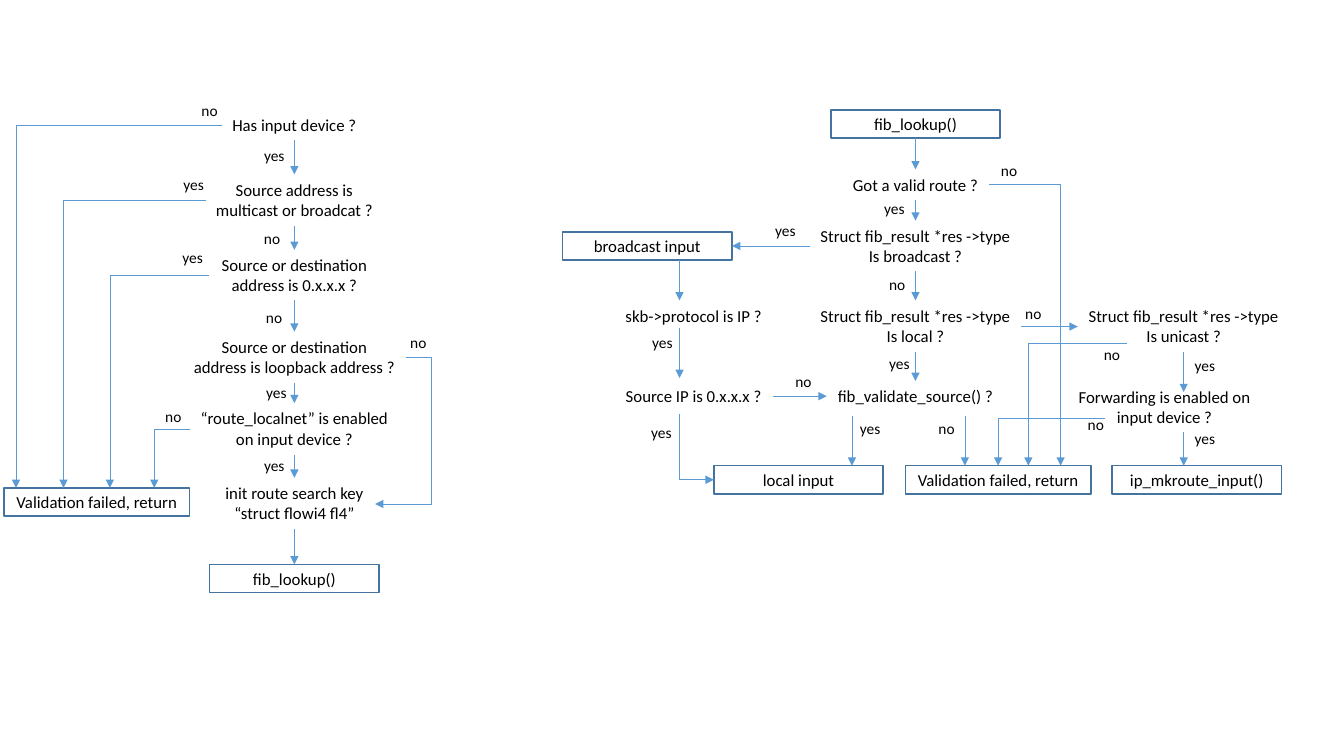
from lxml import etree
from pptx import Presentation
from pptx import util as u
from pptx.dml.color import RGBColor
from pptx.enum import shapes, text
from pptx.oxml.ns import qn

BLACK = RGBColor(0x00, 0x00, 0x00)
ARROW_BLUE = RGBColor(0x5B, 0x9B, 0xD5)
BORDER_BLUE = RGBColor(0x43, 0x73, 0x9E)

COLS, ROWS = 13.33, 7.5
INPUT, PROTOCOL, ROUTE, UNICAST = 2.92, 6.74, 9.08, 11.74
BOX_W, FAILED_W, BOX_H = 1.68, 1.84, 0.28
RESULT_TOP, FAILED_TOP = 4.62, 4.84
LINE_H, PADDING = 0.2, 0.1
LABEL_W = {"yes": 0.41, "no": 0.36}
LABEL_H = 0.29


def grid(*cells):
    return [u.Inches(cell) for cell in cells]


def write(sp, content, size=12, align=text.PP_ALIGN.CENTER, color=BLACK,
          font="Calibri", anchor=text.MSO_ANCHOR.TOP, wrap=False):
    tf = sp.text_frame
    tf.word_wrap = wrap
    tf.vertical_anchor = anchor
    if not wrap:
        tf.auto_size = text.MSO_AUTO_SIZE.SHAPE_TO_FIT_TEXT
    for i, line in enumerate(content.split("\n")):
        p = tf.paragraphs[0] if i == 0 else tf.add_paragraph()
        p.alignment = align
        r = p.add_run()
        r.text = line
        r.font.size = u.Pt(size)
        r.font.name = font
        r.font.color.rgb = color


def question(s, center, top, width, content):
    height = PADDING + LINE_H * (content.count("\n") + 1)
    sp = s.shapes.add_textbox(*grid(center - width / 2, top, width, height))
    write(sp, content)


def label(s, content, left, top):
    sp = s.shapes.add_textbox(*grid(left, top, LABEL_W[content], LABEL_H))
    write(sp, content, size=11, align=text.PP_ALIGN.LEFT)


def box(s, center, top, content, width=BOX_W):
    sp = s.shapes.add_shape(shapes.MSO_SHAPE.RECTANGLE,
                            *grid(center - width / 2, top, width, BOX_H))
    sp.shadow.inherit = False
    sp.fill.background()
    sp.line.color.rgb = BORDER_BLUE
    sp.line.width = u.Pt(1)
    write(sp, content, anchor=text.MSO_ANCHOR.MIDDLE, wrap=True)


def arrow(s, x1, y1, x2, y2, preset="line", end="tailEnd", bend=None):
    c = s.shapes.add_connector(shapes.MSO_CONNECTOR.STRAIGHT, *grid(x1, y1, x2, y2))
    c.line.color.rgb = ARROW_BLUE
    c.line.width = u.Pt(0.5)
    props = c._element.spPr
    etree.SubElement(props.find(qn("a:ln")), qn("a:" + end), type="triangle")
    etree.SubElement(props, qn("a:effectLst"))
    geometry = props.find(qn("a:prstGeom"))
    geometry.set("prst", preset)
    if bend is not None:
        guides = geometry.find(qn("a:avLst"))
        if guides is None:
            guides = etree.SubElement(geometry, qn("a:avLst"))
        etree.SubElement(guides, qn("a:gd"), name="adj1", fmla=f"val {round(bend * 100000)}")


def elbow(s, x1, y1, x2, y2, end="tailEnd"):
    arrow(s, x1, y1, x2, y2, preset="bentConnector2", end=end)


def down(s, column, *spans):
    for top, bottom in spans:
        arrow(s, column, top, column, bottom)


def input_checks(s):
    for top, width, content in [
        (1.09, 1.45, "Has input device ?"),
        (1.73, 1.78, "Source address is\nmulticast or broadcat ?"),
        (2.48, 1.70, "Source or destination\naddress is 0.x.x.x ?"),
        (3.29, 2.22, "Source or destination\naddress is loopback address ?"),
        (4.00, 2.08, "“route_localnet” is enabled\non input device ?"),
        (4.74, 1.59, "init route search key\n“struct flowi4 fl4”"),
    ]:
        question(s, INPUT, top, width, content)
    box(s, INPUT, 5.6, "fib_lookup()")
    box(s, 0.96, FAILED_TOP, "Validation failed, return", FAILED_W)
    down(s, INPUT, (1.39, 1.73), (2.24, 2.48), (2.98, 3.29),
         (3.8, 4.0), (4.51, 4.74), (5.25, 5.6))
    for left, top, target in [(2.2, 1.24, 0.16), (2.04, 1.99, 0.63),
                              (2.07, 2.73, 1.09), (1.88, 4.26, 1.53)]:
        elbow(s, left, top, target, FAILED_TOP)
    arrow(s, 4.03, 3.55, 3.72, 5.0, preset="bentConnector3", bend=-0.79)
    for content, left, top in [
        ("yes", 2.52, 1.4), ("no", 2.52, 2.22), ("no", 2.54, 3.01),
        ("yes", 2.54, 3.75), ("yes", 2.52, 4.48), ("no", 1.9, 0.95),
        ("yes", 1.72, 1.69), ("yes", 1.71, 2.41), ("no", 3.97, 3.26),
        ("no", 1.54, 3.99),
    ]:
        label(s, content, left, top)


def route_lookup(s):
    box(s, ROUTE, 1.09, "fib_lookup()")
    box(s, 6.42, 2.3, "broadcast input")
    box(s, 7.92, RESULT_TOP, "local input")
    box(s, 9.9, RESULT_TOP, "Validation failed, return", FAILED_W)
    box(s, 11.87, RESULT_TOP, "ip_mkroute_input()")

    question(s, ROUTE, 1.68, 1.46, "Got a valid route ?")
    for center, top, kind in [(ROUTE, 2.19, "broadcast"), (ROUTE, 2.98, "local"),
                              (UNICAST, 2.98, "unicast")]:
        question(s, center, top, 2.1, f"Struct fib_result *res ->type\nIs {kind} ?")
    question(s, ROUTE, 3.78, 1.76, "fib_validate_source() ?")
    question(s, 11.55, 3.79, 1.92, "Forwarding is enabled on\ninput device ?")
    question(s, 6.88, 2.98, 1.57, "skb->protocol is IP ?")
    question(s, 6.88, 3.78, 1.57, "Source IP is 0.x.x.x ?")

    down(s, ROUTE, (1.37, 1.68), (1.98, 2.19), (2.69, 2.98), (3.49, 3.78))
    down(s, UNICAST, (3.49, 3.89), (4.29, RESULT_TOP))
    down(s, PROTOCOL, (2.58, 2.98), (3.25, 3.75))
    for column in (8.45, 9.57):
        down(s, column, (4.13, RESULT_TOP))
    for left, right, row in [(8.03, 7.26, 2.44), (10.13, 10.69, 3.24), (7.67, 8.2, 3.93)]:
        arrow(s, left, row, right, row)
    for left, top, target in [(9.81, 1.83, 10.52), (11.18, 3.41, 10.2), (10.96, 4.15, 9.9)]:
        elbow(s, left, top, target, RESULT_TOP)
    elbow(s, 7.08, 4.76, PROTOCOL, 4.11, end="headEnd")

    for content, left, top in [
        ("yes", 8.67, 1.93), ("no", 9.83, 1.55), ("yes", 7.59, 2.14),
        ("no", 8.72, 2.68), ("no", 10.07, 2.97), ("yes", 8.72, 3.46),
        ("yes", 8.43, 4.11), ("no", 9.21, 4.11), ("no", 10.85, 3.37),
        ("yes", 11.75, 3.48), ("no", 10.69, 4.07), ("yes", 11.75, 4.21),
        ("yes", 6.37, 3.26), ("no", 7.79, 3.64), ("yes", 6.36, 4.15),
    ]:
        label(s, content, left, top)


def main():
    prs = Presentation()
    prs.slide_width, prs.slide_height = grid(COLS, ROWS)
    s = prs.slides.add_slide(prs.slide_layouts[6])
    input_checks(s)
    route_lookup(s)
    prs.save("out.pptx")


if __name__ == "__main__":
    main()
